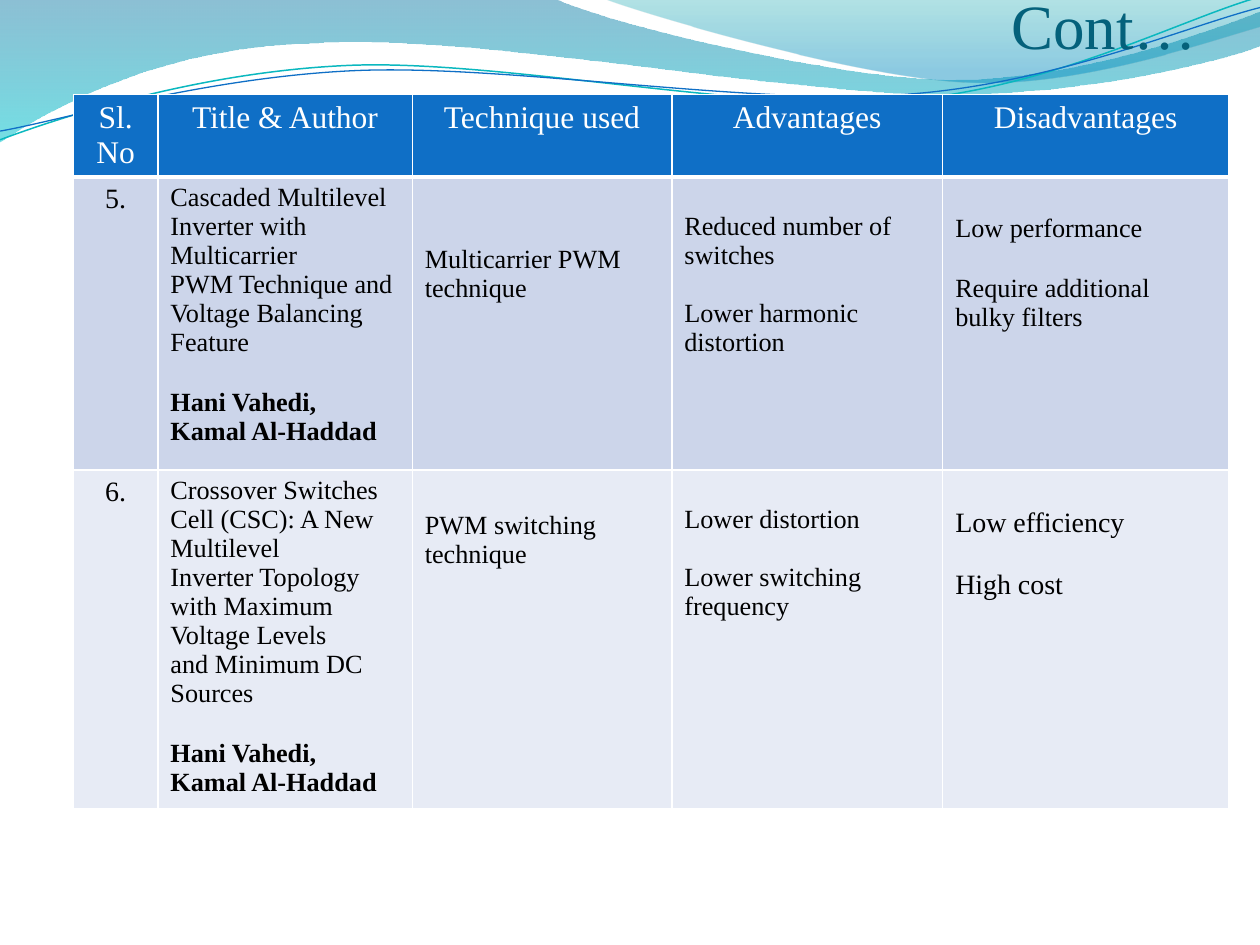
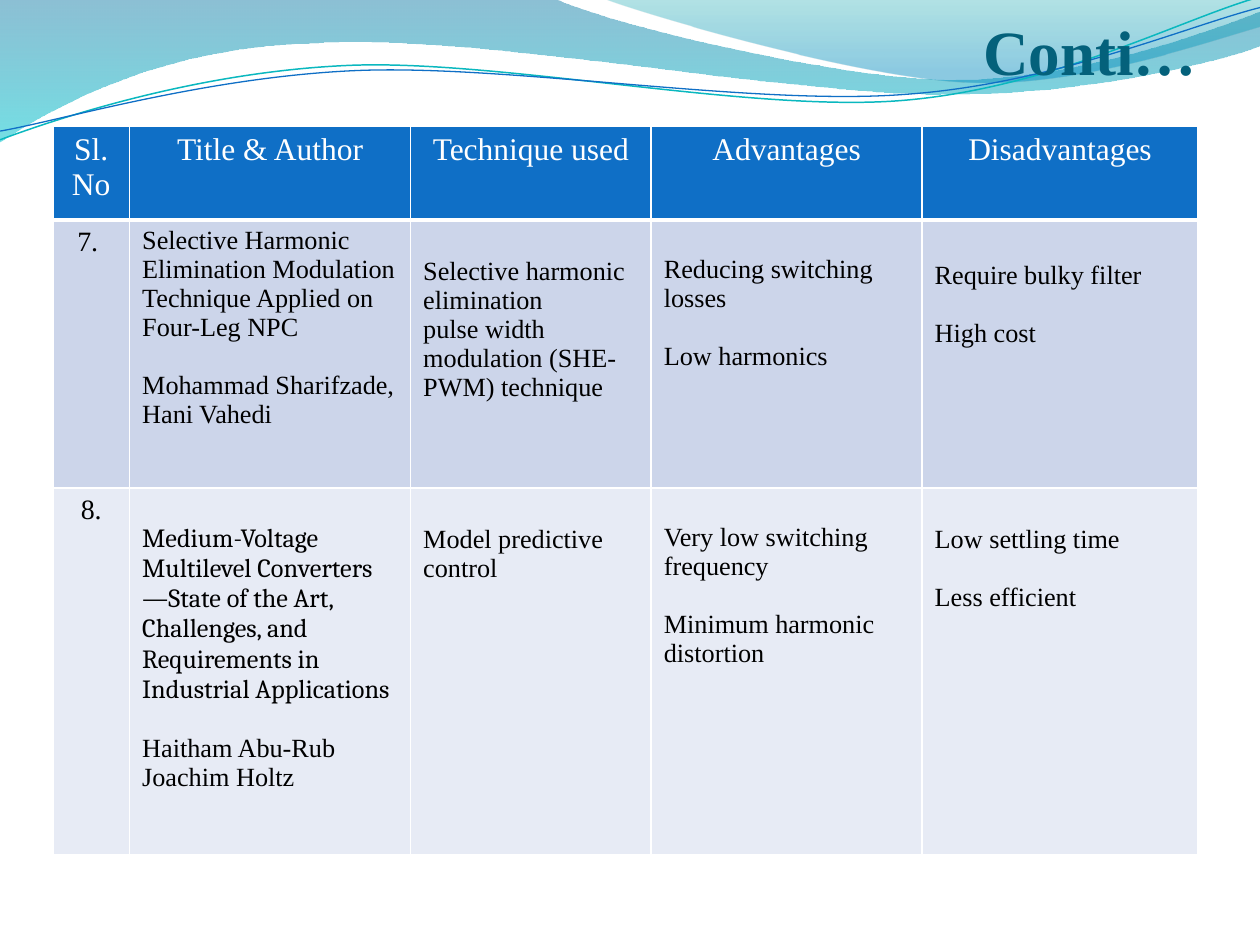
from dataclasses import dataclass

from lxml.etree import SubElement
from pptx import Presentation
from pptx.dml.color import RGBColor
from pptx.enum.text import MSO_ANCHOR, MSO_AUTO_SIZE, PP_ALIGN
from pptx.oxml.ns import qn
from pptx.util import Pt

SERIF = "Times New Roman"
TITLE_COLOR, HEADER_FILL, WHITE, BLACK = "04617B", "0F6FC6", "FFFFFF", "000000"
ROW_FILLS = ["CCD5EA", "E7EBF5"]
LINE_HEIGHT = 1.107
HEADINGS = ["Title & Author", "Technique used", "Advantages", "Disadvantages"]


@dataclass
class Line:
    """A paragraph, with the size of the empty space above it."""
    text: str
    gap: float = 0
    size: float = 15
    bold: bool = False
    font: str = SERIF


def rgb(color):
    """Turn a hex string into a colour."""
    return RGBColor.from_string(color)


def write_run(paragraph, line, color):
    """Add one formatted run to a paragraph."""
    run = paragraph.add_run()
    run.text = line.text
    run.font.name, run.font.size, run.font.bold = line.font, Pt(line.size), line.bold
    run.font.color.rgb = rgb(color)


def draw_curve(slide, start, segments, closed):
    """Build a freeform from segments of one point (line) or three (curve)."""
    tenths = [(x * 10, y * 10) for segment in segments for x, y in segment]
    builder = slide.shapes.build_freeform(start[0] * 10, start[1] * 10, scale=Pt(0.1))
    builder.add_line_segments(tenths, close=closed)
    curve = builder.convert_to_shape()
    curve.shadow.inherit = False
    steps = iter(list(curve.element.iter(qn("a:lnTo"))))
    for segment in segments:
        first, *others = [next(steps) for _ in segment]
        if others:
            first.tag = qn("a:cubicBezTo")
            for step in others:
                first.append(step[0])
                step.getparent().remove(step)
    return curve


def fill_wave(wave, stops):
    """Give a wave a downward gradient of (position, colour, opacity) stops."""
    wave.line.fill.background()
    wave.fill.gradient()
    wave.fill.gradient_angle = 270
    for stop, (position, color, _) in zip(wave.fill.gradient_stops, stops):
        stop.position = position
        stop.color.rgb = rgb(color)
    gradient = next(wave.element.iter(qn("a:gradFill")))
    for tint, (_, _, opacity) in zip(gradient.iter(qn("a:srgbClr")), stops):
        SubElement(tint, qn("a:alpha"), val=str(opacity * 1000))


def add_waves(slide):
    """Draw the wave header and move it to the layout all slides share."""
    band = draw_curve(slide, (0, 0), [
        [(317, -0.7)],
        [(342.7, 12.2), (478, 45.4), (545.8, 45.4)],
        [(614.2, 45.4), (689.8, 18.7), (720, 6.5)],
        [(720.7, 25.9)],
        [(707.8, 31.7), (626.4, 54.7), (537.1, 54)],
        [(447.8, 54), (275, 20.2), (185, 24.5)],
        [(92.9, 25.9), (33.1, 59.8), (-0.7, 81.4)],
    ], True)
    fill_wave(band, [(0, "0074A1", 45), (1, "00C6CF", 55)])
    crest = draw_curve(slide, (344.9, -0.7), [
        [(366.5, 7.9), (491, 44.6), (553.7, 46.8)],
        [(616.3, 49.7), (691.9, 23), (720, 15.1)],
        [(720, 0)],
    ], True)
    fill_wave(crest, [(0, "00A1A9", 30), (0.8, "008BBF", 45)])
    teal = draw_curve(slide, (0, 79.9), [
        [(34.6, 67), (113.8, 41), (199.4, 37.4)],
        [(284.4, 33.8), (427, 64.1), (513.4, 57.6)],
        [(599.8, 51.1), (675.4, 10.8), (718.6, -1.4)],
    ], False)
    blue = draw_curve(slide, (0, 74.9), [
        [(33.8, 69.1), (118.1, 43.9), (203.8, 40.3)],
        [(290.2, 36.7), (429.8, 60.5), (516.2, 54)],
        [(601.9, 48.2), (677.5, 15.1), (720, 4.3)],
    ], False)
    for strand, color, width in [(teal, "0AB8BF", 0.85), (blue, HEADER_FILL, 0.75)]:
        strand.fill.background()
        strand.line.color.rgb = rgb(color)
        strand.line.width = Pt(width)
    for number, part in enumerate([band, crest, teal, blue], 20):
        part.element.nvSpPr.cNvPr.id = number
        slide.slide_layout.shapes.element.append(part.element)


def place_title(slide, line, left, top, width, height):
    """Move the title placeholder and set its right-aligned text."""
    title = slide.shapes.title
    title.left, title.top, title.width, title.height = map(Pt, (left, top, width, height))
    frame = title.text_frame
    frame.auto_size, frame.vertical_anchor = MSO_AUTO_SIZE.NONE, MSO_ANCHOR.BOTTOM
    frame.margin_left = frame.margin_right = frame.margin_bottom = 0
    frame.margin_top = Pt(3.6)
    frame.paragraphs[0].alignment = PP_ALIGN.RIGHT
    write_run(frame.paragraphs[0], line, TITLE_COLOR)


def set_borders(cell, widths):
    """Put white borders of the given widths around a cell."""
    properties = cell._tc.get_or_add_tcPr()
    for index, (side, width) in enumerate(widths.items()):
        border = SubElement(properties, qn("a:ln" + side), w=str(Pt(width)))
        properties.insert(index, border)
        SubElement(SubElement(border, qn("a:solidFill")), qn("a:srgbClr"), val=WHITE)


def fill_cell(cell, lines, fill, color, alignment, bottom):
    """Write the lines of a cell and format it."""
    cell.margin_left = cell.margin_right = Pt(7.2)
    cell.margin_top = Pt(3.6 + lines[0].gap * LINE_HEIGHT)
    cell.margin_bottom = Pt(3.6)
    for index, line in enumerate(lines):
        paragraph = cell.text_frame.add_paragraph() if index else cell.text_frame.paragraphs[0]
        paragraph.alignment = alignment
        if index and line.gap:
            paragraph.space_before = Pt(line.gap * LINE_HEIGHT)
        write_run(paragraph, line, color)
    cell.fill.solid()
    cell.fill.fore_color.rgb = rgb(fill)
    set_borders(cell, {"L": 1, "R": 1, "T": 1, "B": bottom})


def place_table(slide, left, top, widths, heights, number_heading, papers):
    """Place the literature table with its header and one row per paper."""
    headings = [[Line(text, size=18) for text in number_heading]]
    headings += [[Line(text, size=18)] for text in HEADINGS]
    table = slide.shapes.add_table(len(heights), len(widths), Pt(left), Pt(top),
                                   Pt(sum(widths)), Pt(sum(heights))).table
    for column, width in zip(table.columns, widths):
        column.width = Pt(width)
    for row, height in zip(table.rows, heights):
        row.height = Pt(height)
    for cell, lines in zip(table.rows[0].cells, headings):
        fill_cell(cell, lines, HEADER_FILL, WHITE, PP_ALIGN.CENTER, 3)
    for row, fill, paper in zip(list(table.rows)[1:], ROW_FILLS, papers):
        for index, (cell, lines) in enumerate(zip(row.cells, paper)):
            alignment = PP_ALIGN.LEFT if index else PP_ALIGN.CENTER
            fill_cell(cell, lines, fill, BLACK, alignment, 1)


PAPERS_5_6 = [
    [[Line("5.", size=16)],
     [Line("Cascaded Multilevel Inverter with Multicarrier"),
      Line("PWM Technique and Voltage Balancing Feature"),
      Line("Hani Vahedi,", 16, bold=True), Line("Kamal Al-Haddad", bold=True)],
     [Line("Multicarrier PWM technique", 32)],
     [Line("Reduced number of switches", 15), Line("Lower harmonic distortion", 15)],
     [Line("Low performance", 16), Line("Require additional bulky filters", 16)]],
    [[Line("6.", size=16)],
     [Line("Crossover Switches Cell (CSC): A New Multilevel"),
      Line("Inverter Topology with Maximum Voltage Levels"),
      Line("and Minimum DC Sources"),
      Line("Hani Vahedi,", 16, bold=True), Line("Kamal Al-Haddad", bold=True)],
     [Line("PWM switching technique", 18)],
     [Line("Lower distortion", 15), Line("Lower switching frequency", 15)],
     [Line("Low efficiency", 16, 16), Line("High cost", 16, 16)]],
]
PAPERS_7_8 = [
    [[Line("7. ", size=16)],
     [Line("Selective Harmonic Elimination Modulation"),
      Line("Technique Applied on Four-Leg NPC"),
      Line("Mohammad Sharifzade,", 15), Line("Hani Vahedi")],
     [Line("Selective harmonic elimination", 16),
      Line("pulse width modulation (SHE-PWM) technique")],
     [Line("Reducing switching losses", 15), Line("Low harmonics", 15)],
     [Line("Require bulky filter", 18), Line("High cost", 15)]],
    [[Line("8.", size=16)],
     [Line("Medium-Voltage Multilevel Converters—State of the Art, Challenges, "
           "and Requirements in", 15, font="Cambria"),
      Line("Industrial Applications", font="Cambria"),
      Line("Haitham Abu-Rub", 15), Line("Joachim Holtz")],
     [Line("Model predictive control", 16)],
     [Line("Very low switching frequency", 15), Line("Minimum harmonic distortion", 15)],
     [Line("Low settling time", 16), Line("Less efficient", 15)]],
]


def build_deck():
    """Build and save both slides."""
    deck = Presentation()
    deck.slide_width, deck.slide_height = Pt(720), Pt(540)
    layout = deck.slide_layouts[5]
    first, second = [deck.slides.add_slide(layout) for _ in range(2)]
    add_waves(first)
    place_title(first, Line("Cont…", size=36), 36, 2.9, 648, 32.4)
    place_table(first, 42, 54, [48.2, 145.4, 148.3, 154.8, 163.4], [47, 167.5, 193.5],
                ["Sl.", "No"], PAPERS_5_6)
    place_title(second, Line("Conti…", size=36, bold=True), 36, 18, 648, 32.4)
    place_table(second, 30.2, 72.2, [43.9, 160.6, 137.5, 154.8, 157.7], [53.6, 153.2, 209.5],
                ["Sl.No"], PAPERS_7_8)
    deck.save("out.pptx")


build_deck()
